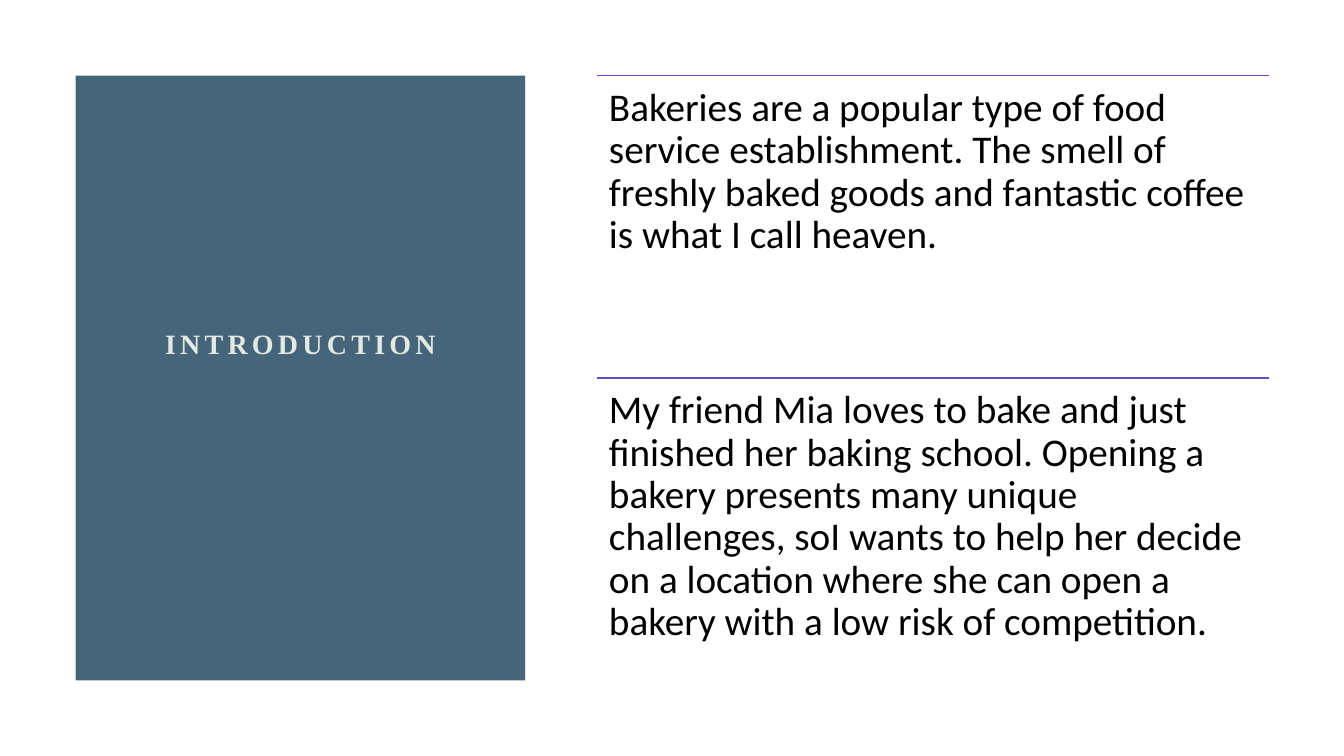
from dataclasses import dataclass

from lxml.etree import SubElement
from pptx import Presentation
from pptx.dml.color import RGBColor
from pptx.enum.shapes import MSO_CONNECTOR, MSO_SHAPE
from pptx.enum.text import MSO_ANCHOR, PP_ALIGN
from pptx.oxml.ns import qn
from pptx.util import Inches, Pt


@dataclass(frozen=True)
class Theme:
    panel: RGBColor = RGBColor.from_string("46657A")
    title: RGBColor = RGBColor.from_string("E2E8E2")
    body: RGBColor = RGBColor.from_string("000000")
    rules: tuple = (RGBColor.from_string("853AB2"), RGBColor.from_string("654CC4"))
    title_font: str = "Times New Roman"
    body_font: str = "Calibri"
    title_size: int = 20
    body_size: int = 28
    title_tracking: int = 3
    line_spacing: float = 0.9


THEME = Theme()

PASSAGES = [
    "Bakeries are a popular type of food service establishment. The smell of "
    "freshly baked goods and fantastic coffee is what I call heaven.",
    "My friend Mia loves to bake and just finished her baking school. Opening a "
    "bakery presents many unique challenges, soI wants to help her decide on a "
    "location where she can open a bakery with a low risk of competition.",
]


def set_attrs(obj, values):
    for name, value in values.items():
        setattr(obj, name, value)


def write(tf, text, frame, font, color, align):
    """Fill a text frame with one formatted paragraph and return its run."""
    set_attrs(tf, {"word_wrap": True, **frame})
    p = tf.paragraphs[0]
    set_attrs(p, {"alignment": align, "line_spacing": THEME.line_spacing})
    r = p.add_run()
    r.text = text
    set_attrs(r.font, font)
    r.font.color.rgb = color
    return r


def add_title_panel(s, text, left, top, width, height):
    panel = s.shapes.add_shape(MSO_SHAPE.RECTANGLE, Inches(left), Inches(top),
                               Inches(width), Inches(height))
    panel.shadow.inherit = False
    panel.fill.solid()
    panel.fill.fore_color.rgb = THEME.panel
    panel.line.fill.background()

    title, pad = s.shapes.title, 0.75
    set_attrs(title, {"left": Inches(left + pad), "top": Inches(top + pad),
                      "width": Inches(width - 2 * pad),
                      "height": Inches(height - 2 * pad)})
    panel._element.addnext(title._element)  # the title stands in front of its panel
    r = write(title.text_frame, text,
              {"vertical_anchor": MSO_ANCHOR.MIDDLE, "margin_bottom": Inches(0.7)},
              {"name": THEME.title_font, "size": Pt(THEME.title_size), "bold": True},
              THEME.title, PP_ALIGN.CENTER)
    r.font._element.set("spc", str(THEME.title_tracking * 100))


def add_passage(s, text, rule_color, left, top, width, height):
    """Place a rule with a passage of text below it."""
    x, y, w, h = (Inches(v) for v in (left, top, width, height))
    rule = s.shapes.add_connector(MSO_CONNECTOR.STRAIGHT, x, y, x + w, y)
    rule.line.color.rgb = rule_color
    rule.line.width = Pt(1)
    SubElement(rule._element.spPr, qn("a:effectLst"))

    margins = {f"margin_{side}": Inches(0.12)
               for side in ("left", "top", "right", "bottom")}
    write(s.shapes.add_textbox(x, y, w, h).text_frame, text,
          {"vertical_anchor": MSO_ANCHOR.TOP, **margins},
          {"name": THEME.body_font, "size": Pt(THEME.body_size)},
          THEME.body, PP_ALIGN.LEFT)


def add_passages(s, texts, left, top, width, height):
    row = height / len(texts)
    for i, (text, color) in enumerate(zip(texts, THEME.rules)):
        add_passage(s, text, color, left, top + i * row, width, row)


def main():
    prs = Presentation()
    prs.slide_width, prs.slide_height = Inches(13.33), Inches(7.5)
    s = prs.slides.add_slide(prs.slide_layouts[5])
    add_title_panel(s, "INTRODUCTION", 0.75, 0.75, 4.46, 6)
    add_passages(s, PASSAGES, 5.92, 0.75, 6.67, 6)
    prs.save("out.pptx")


if __name__ == "__main__":
    main()
